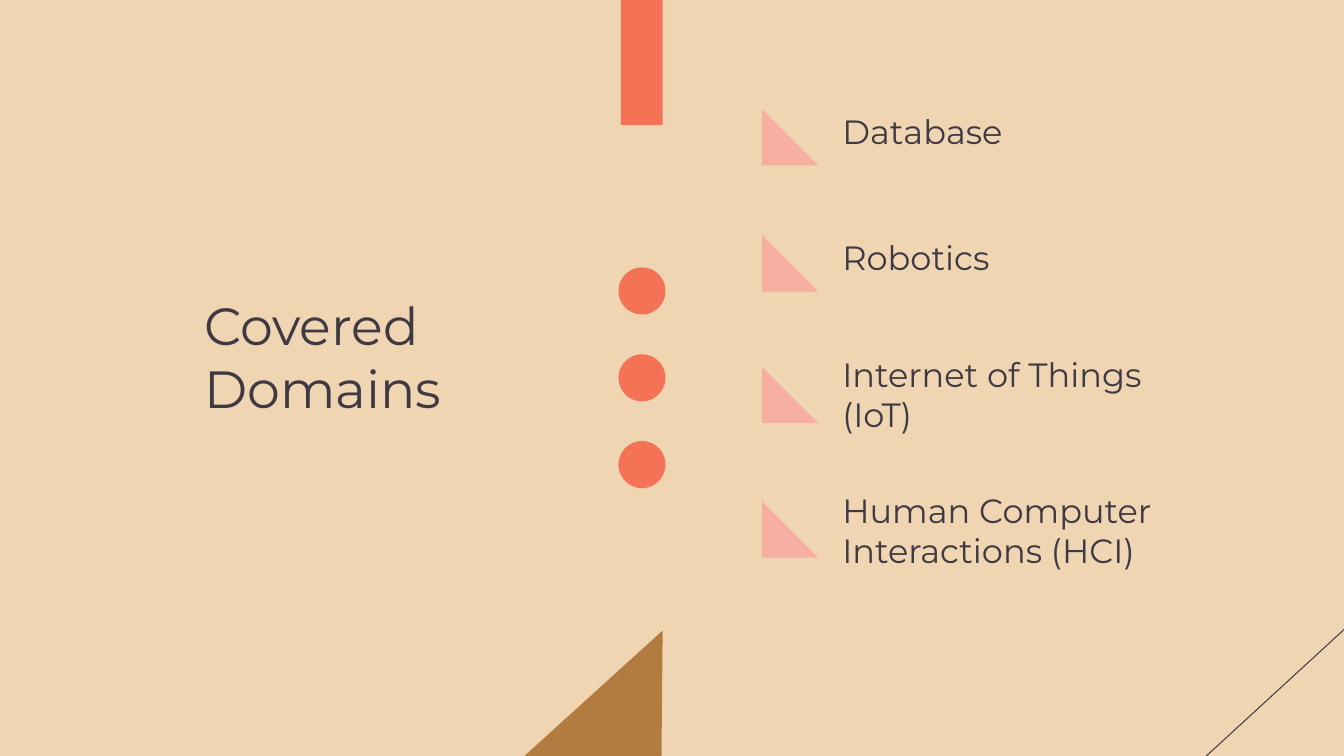
from dataclasses import dataclass

from lxml import etree
from pptx import Presentation
from pptx.dml.color import RGBColor
from pptx.enum import shapes, text
from pptx.oxml import ns
from pptx.util import Pt

SAND = RGBColor(0xEF, 0xD5, 0xB2)
BROWN = RGBColor(0xB2, 0x7C, 0x40)
CORAL = RGBColor(0xF4, 0x73, 0x56)
PINK = RGBColor(0xF6, 0xAE, 0xA0)
INK = RGBColor(0x3F, 0x39, 0x43)
FONT = "Montserrat"

MARKER_LEFT, MARKER_SIZE = 408.2, 30.2
LABEL_LEFT, LABEL_WIDTH, LABEL_HEIGHT = 444.2, 213, 21
DOT_CENTRE_X, DOT_SIZE = 343.9, 25.2
DOT_FIRST_Y, DOT_PITCH, DOT_COUNT = 155.9, 46.5, 3


@dataclass(frozen=True)
class Domain:
    name: str
    marker_top: float
    label_middle: float


DOMAINS = (
    Domain("Database", 58.4, 70),
    Domain("Robotics", 126, 137.7),
    Domain("Internet of Things (IoT)", 196.5, 211.1),
    Domain("Human Computer Interactions (HCI)", 268.6, 284),
)


def paint(shape, colour: RGBColor) -> None:
    shape.shadow.inherit = False
    shape.fill.solid()
    shape.fill.fore_color.rgb = colour
    shape.line.fill.background()


def add_solid(page, kind, left: float, top: float, width: float,
              height: float, colour: RGBColor) -> None:
    shape = page.shapes.add_shape(kind, Pt(left), Pt(top), Pt(width), Pt(height))
    paint(shape, colour)


def add_text(page, words: str, left: float, top: float, width: float,
             height: float, size: float, margin: float, anchor) -> None:
    """Add wrapped text; margin is the inset above and below it."""
    box = page.shapes.add_textbox(Pt(left), Pt(top), Pt(width), Pt(height))
    frame = box.text_frame
    frame.word_wrap = True
    frame.vertical_anchor = anchor
    frame.margin_left = frame.margin_right = Pt(7.2)
    frame.margin_top = frame.margin_bottom = Pt(margin)
    para = frame.paragraphs[0]
    para.text = words
    para.font.name = FONT
    para.font.size = Pt(size)
    para.font.color.rgb = INK


def add_domain(page, domain: Domain) -> None:
    add_solid(page, shapes.MSO_SHAPE.RIGHT_TRIANGLE, MARKER_LEFT,
              domain.marker_top, MARKER_SIZE, MARKER_SIZE, PINK)
    add_text(page, domain.name, LABEL_LEFT,
             domain.label_middle - LABEL_HEIGHT / 2, LABEL_WIDTH, LABEL_HEIGHT,
             18, 0, text.MSO_ANCHOR.MIDDLE)


def add_corner_wedge(page) -> None:
    builder = page.shapes.build_freeform(Pt(355), Pt(337.8))
    builder.add_line_segments(
        [(Pt(197.4), Pt(480.8)), (Pt(278.6), Pt(480.8)), (Pt(354.3), Pt(415.4))])
    paint(builder.convert_to_shape(), BROWN)


def add_corner_line(page) -> None:
    line = page.shapes.add_connector(
        shapes.MSO_CONNECTOR.STRAIGHT, Pt(751.7), Pt(308.2), Pt(641.5), Pt(409.4))
    line.line.color.rgb = INK
    line.line.width = Pt(0.54)
    etree.SubElement(line._element.spPr, ns.qn("a:effectLst"))


def main() -> None:
    deck = Presentation()
    deck.slide_width, deck.slide_height = Pt(720), Pt(405)
    page = deck.slides.add_slide(deck.slide_layouts[6])
    page.background.fill.solid()
    page.background.fill.fore_color.rgb = SAND

    add_corner_wedge(page)
    add_corner_line(page)
    add_solid(page, shapes.MSO_SHAPE.RECTANGLE, 332.7, -33.1, 22.4, 100, CORAL)
    add_text(page, "Covered Domains", 102.3, 149.8, 241.2, 93.6, 28, 7.2,
             text.MSO_ANCHOR.TOP)
    for domain in DOMAINS:
        add_domain(page, domain)
    for index in range(DOT_COUNT):
        middle = DOT_FIRST_Y + index * DOT_PITCH
        add_solid(page, shapes.MSO_SHAPE.OVAL, DOT_CENTRE_X - DOT_SIZE / 2,
                  middle - DOT_SIZE / 2, DOT_SIZE, DOT_SIZE, CORAL)

    deck.save("out.pptx")


if __name__ == "__main__":
    main()
